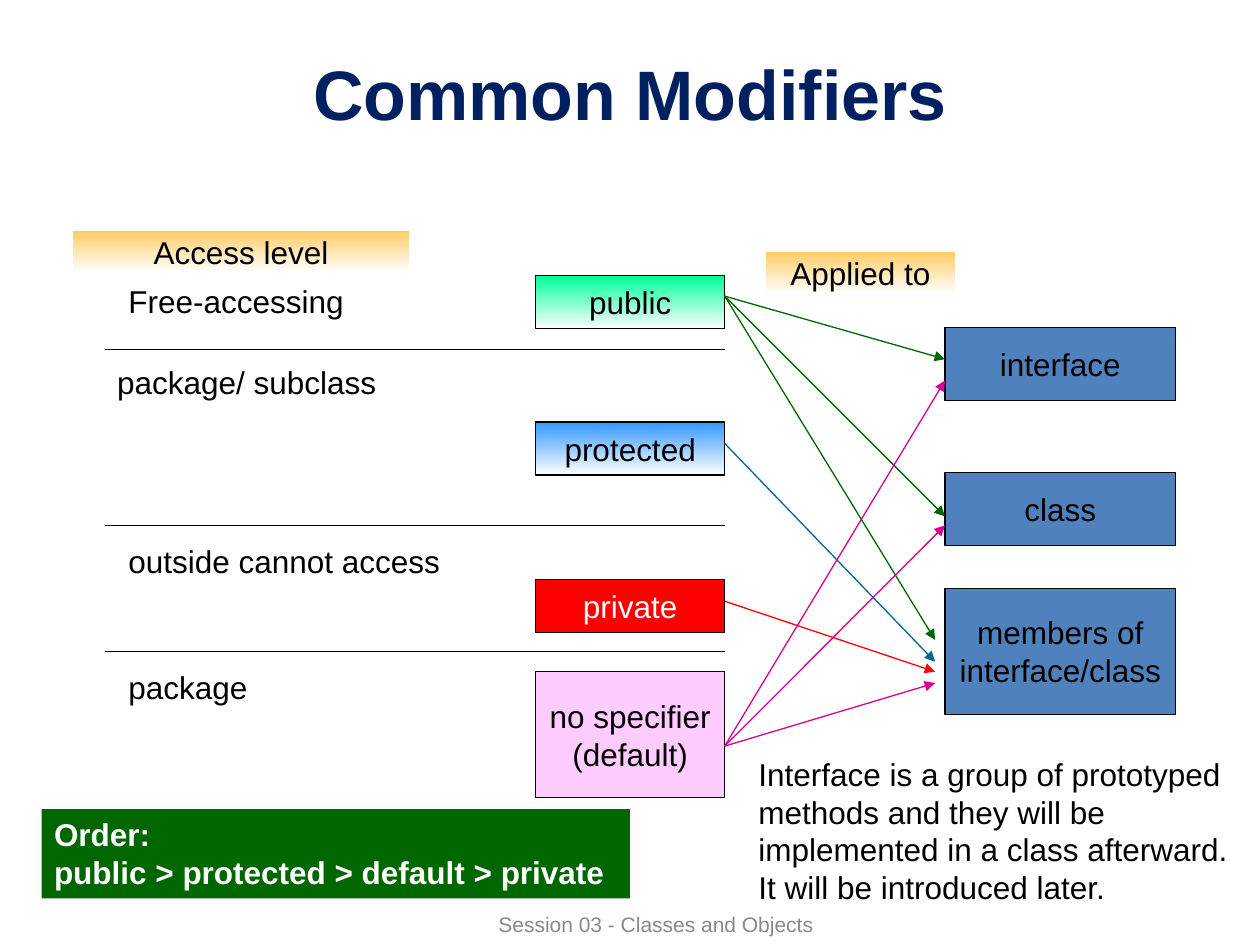
from lxml import etree
from pptx import Presentation
from pptx.dml.color import RGBColor
from pptx.enum.shapes import MSO_CONNECTOR, MSO_SHAPE
from pptx.enum.text import MSO_ANCHOR, PP_ALIGN
from pptx.oxml.ns import qn
from pptx.util import Cm, Pt

RECTANGLE = MSO_SHAPE.RECTANGLE
STRAIGHT = MSO_CONNECTOR.STRAIGHT
LEFT, CENTER = PP_ALIGN.LEFT, PP_ALIGN.CENTER
TOP, MIDDLE = MSO_ANCHOR.TOP, MSO_ANCHOR.MIDDLE

BLACK, WHITE, GREEN, RED = "000000", "FFFFFF", "006600", "FF0000"
BLUE, PINK, ORANGE, TARGET_BLUE = "006699", "D60093", "FFCC66", "4F81BD"


def paint(fill, *colors):
    """Fill solidly with one colour, or top to bottom with two."""
    if len(colors) == 1:
        fill.solid()
        fill.fore_color.rgb = RGBColor.from_string(colors[0])
        return
    fill.gradient()
    fill.gradient_angle = 270
    for stop, color in zip(fill.gradient_stops, colors):
        stop.color.rgb = RGBColor.from_string(color)


def write_text(shape, lines, color=BLACK, size=18, bold=False,
               align=CENTER, anchor=MIDDLE, wrap=False):
    frame = shape.text_frame
    frame.word_wrap = wrap
    frame.vertical_anchor = anchor
    for index, line in enumerate(lines):
        paragraph = frame.add_paragraph() if index else frame.paragraphs[0]
        paragraph.alignment = align
        run = paragraph.add_run()
        run.text = line
        run.font.name = "Arial"
        run.font.size = Pt(size)
        run.font.bold = bold
        paint(run.font.fill, color)


presentation = Presentation()
presentation.slide_width, presentation.slide_height = Cm(25.4), Cm(19.05)
slide = presentation.slides.add_slide(presentation.slide_layouts[5])
shapes = slide.shapes

title = shapes.title
title.left, title.top, title.width, title.height = Cm(1.27), Cm(0.76), Cm(22.86), Cm(2.21)
write_text(title, ["Common Modifiers"], "002060", 40, True, wrap=True)

footer = shapes.add_textbox(Cm(7.19), Cm(18.21), Cm(12.07), Cm(0.84))
write_text(footer, ["Session 03 - Classes and Objects"], "898989", 12, wrap=True)

# Headings, modifiers and the things they apply to
boxes = [
    (["Access level"], 1.47, 4.65, 6.78, 0.84, [ORANGE, WHITE], BLACK, False),
    (["Applied to"], 15.44, 5.08, 3.81, 0.84, [ORANGE, WHITE], BLACK, False),
    (["public"], 10.8, 5.56, 3.81, 1.07, ["00FF99", WHITE], BLACK, True),
    (["protected"], 10.8, 8.51, 3.81, 1.07, ["3399FF", WHITE], BLACK, True),
    (["private"], 10.8, 11.68, 3.81, 1.07, [RED], WHITE, True),
    (["no specifier", "(default)"], 10.8, 13.54, 3.81, 2.54, ["FFCCFF"], BLACK, True),
    (["interface"], 19.05, 6.6, 4.65, 1.47, [TARGET_BLUE], BLACK, True),
    (["class"], 19.05, 9.53, 4.65, 1.47, [TARGET_BLUE], BLACK, True),
    (["members of", "interface/class"], 19.05, 11.86, 4.65, 2.54, [TARGET_BLUE], BLACK, True),
]
for lines, left, top, width, height, fills, color, outlined in boxes:
    box = shapes.add_shape(RECTANGLE, Cm(left), Cm(top), Cm(width), Cm(height))
    box.shadow.inherit = False
    paint(box.fill, *fills)
    if outlined:
        paint(box.line.fill, BLACK)
        box.line.width = Pt(0.75)
    else:
        box.line.fill.background()
    write_text(box, lines, color)

# Arrows from each modifier to its targets, then the level separators
modifier_edge, target_edge, members_edge = 14.61, 19.05, 18.85
arrows = [
    (GREEN, 5.97, [(target_edge, 7.24), (target_edge, 10.41), (members_edge, 12.9)]),
    (RED, 12.12, [(members_edge, 13.54)]),
    (BLUE, 8.94, [(members_edge, 13.34)]),
    (PINK, 15.04, [(target_edge, 7.67), (target_edge, 10.59), (members_edge, 13.77)]),
]
lines = [(color, modifier_edge, start, x, y, True)
         for color, start, ends in arrows for x, y in ends]
lines += [(BLACK, 2.11, y, modifier_edge, y, False) for y in (7.04, 10.59, 13.13)]
for color, x1, y1, x2, y2, has_arrow in lines:
    connector = shapes.add_connector(STRAIGHT, Cm(x1), Cm(y1), Cm(x2), Cm(y2))
    paint(connector.line.fill, color)
    connector.line.width = Pt(0.75)
    properties = connector.element.spPr
    if has_arrow:
        etree.SubElement(properties.find(qn("a:ln")), qn("a:tailEnd"), type="triangle")
    etree.SubElement(properties, qn("a:effectLst"))

access_levels = [
    ("Free-accessing", 2.34, 5.56),
    ("package/ subclass", 2.11, 7.19),
    ("outside cannot access", 2.34, 10.8),
    ("package", 2.34, 13.34),
]
for level, left, top in access_levels:
    label = shapes.add_textbox(Cm(left), Cm(top), Cm(7.62), Cm(1.02))
    write_text(label, [level], align=LEFT, anchor=TOP, wrap=True)

note = shapes.add_textbox(Cm(15.04), Cm(15.09), Cm(10.36), Cm(3.33))
write_text(note, ["Interface is a group of prototyped methods and they will be "
                  "implemented in a class afterward. It will be introduced later."],
           align=LEFT, anchor=TOP, wrap=True)

order = shapes.add_shape(RECTANGLE, Cm(0.84), Cm(16.31), Cm(11.86), Cm(1.8))
order.shadow.inherit = False
paint(order.fill, GREEN)
order.line.fill.background()
write_text(order, ["Order:", "public > protected > default > private"],
           WHITE, bold=True, align=LEFT, anchor=TOP, wrap=True)

presentation.save("out.pptx")
